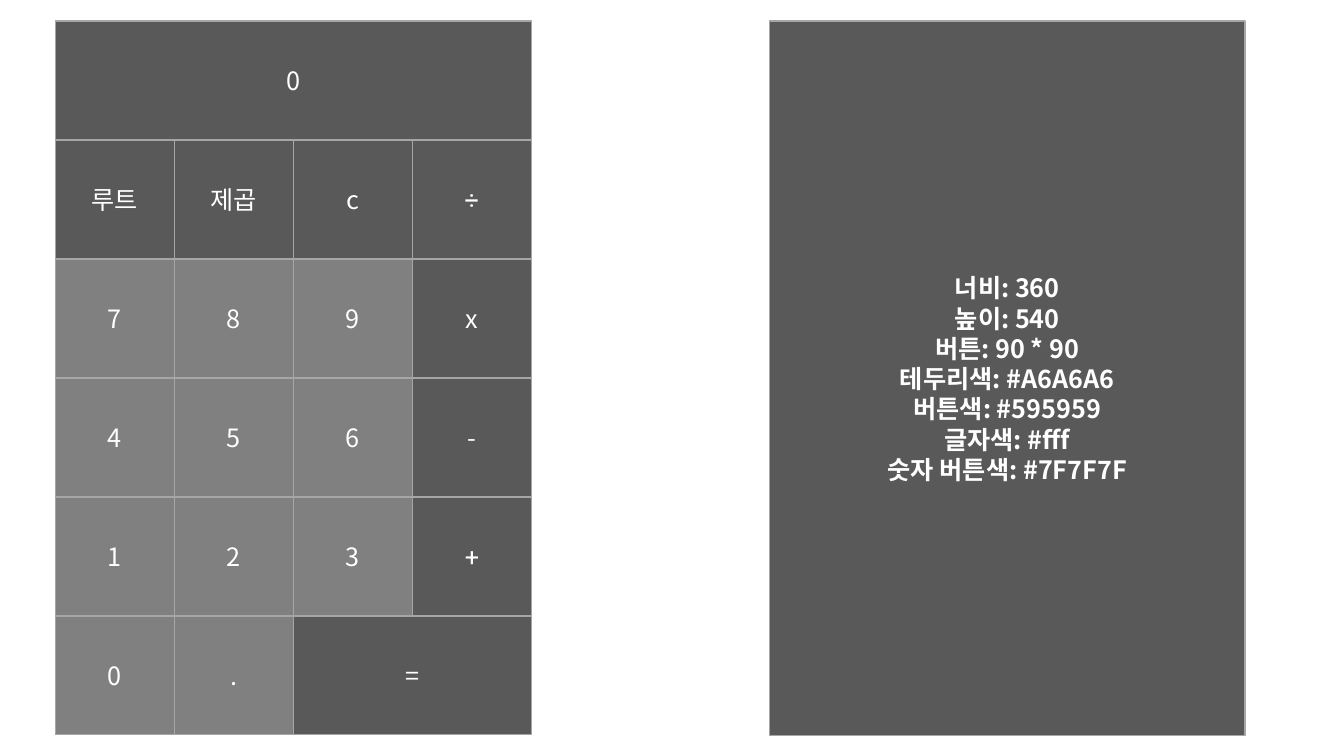
from dataclasses import dataclass

from lxml import etree
from pptx import Presentation
from pptx import util as u
from pptx.dml import color
from pptx.enum import shapes, text
from pptx.oxml import ns

EMU_PER_PX = 9144
BUTTON = 118
LEFT, TOP = 55, 21
DARK, LIGHT, BORDER, WHITE = "595959", "808080", "A6A6A6", "FFFFFF"
KOREAN_FONT, SYMBOL_FONT = "Noto Sans CJK KR", "Roboto"
KEY_ROWS = [
    ["0"],
    ["루트", "제곱", "c", "÷"],
    ["7", "8", "9", "x"],
    ["4", "5", "6", "-"],
    ["1", "2", "3", "+"],
    ["0", ".", "="],
]
COLUMN_SPANS = {(0, 0): 4, (5, 2): 2}
SPECIFICATION = [
    "너비: 360",
    "높이: 540",
    "버튼: 90 * 90",
    "테두리색: #A6A6A6",
    "버튼색: #595959",
    "글자색: #fff",
    "숫자 버튼색: #7F7F7F",
]


@dataclass
class Box:
    left: int
    top: int
    width: int
    height: int
    lines: list[str]
    fill: str = DARK
    font: str = KOREAN_FONT
    bold: bool = False


def px(length: int) -> u.Emu:
    return u.Emu(length * EMU_PER_PX)


def paint(target, hex_colour: str) -> None:
    target.solid()
    target.fore_color.rgb = color.RGBColor.from_string(hex_colour)


def apply_format(target, values: dict) -> None:
    for name, value in values.items():
        setattr(target, name, value)


def draw_box(parent, box: Box) -> None:
    shape = parent.add_shape(
        shapes.MSO_SHAPE.RECTANGLE,
        px(box.left), px(box.top), px(box.width), px(box.height),
    )
    shape.shadow.inherit = False
    paint(shape.fill, box.fill)
    paint(shape.line.fill, BORDER)
    shape.line.width = u.Pt(1)
    frame = shape.text_frame
    apply_format(frame, {"word_wrap": True, "vertical_anchor": text.MSO_ANCHOR.MIDDLE})
    for index, line in enumerate(box.lines):
        paragraph = frame.add_paragraph() if index else frame.paragraphs[0]
        paragraph.alignment = text.PP_ALIGN.CENTER
        run = paragraph.add_run()
        run.text = line
        paint(run.font.fill, WHITE)
        apply_format(run.font, {"size": u.Pt(18), "name": box.font, "bold": box.bold})
        latin = run.font._element.find(ns.qn("a:latin"))
        east_asian = etree.Element(ns.qn("a:ea"), typeface=box.font)
        latin.addnext(east_asian)


def calculator_keys() -> list[Box]:
    keys = []
    for row, labels in enumerate(KEY_ROWS):
        for column, label in enumerate(labels):
            is_number = row > 1 and (label.isdigit() or label == ".")
            keys.append(Box(
                LEFT + column * BUTTON,
                TOP + row * BUTTON,
                COLUMN_SPANS.get((row, column), 1) * BUTTON,
                BUTTON,
                [label],
                LIGHT if is_number else DARK,
                SYMBOL_FONT if label in "÷+" else KOREAN_FONT,
            ))
    return keys


def main() -> None:
    presentation = Presentation()
    apply_format(presentation, {"slide_width": px(1333), "slide_height": px(750)})
    slide = presentation.slides.add_slide(presentation.slide_layouts[6])
    calculator = slide.shapes.add_group_shape()
    for key in calculator_keys():
        draw_box(calculator.shapes, key)
    draw_box(slide.shapes, Box(763, TOP, 4 * BUTTON, 709, SPECIFICATION, bold=True))
    presentation.save("out.pptx")


if __name__ == "__main__":
    main()
